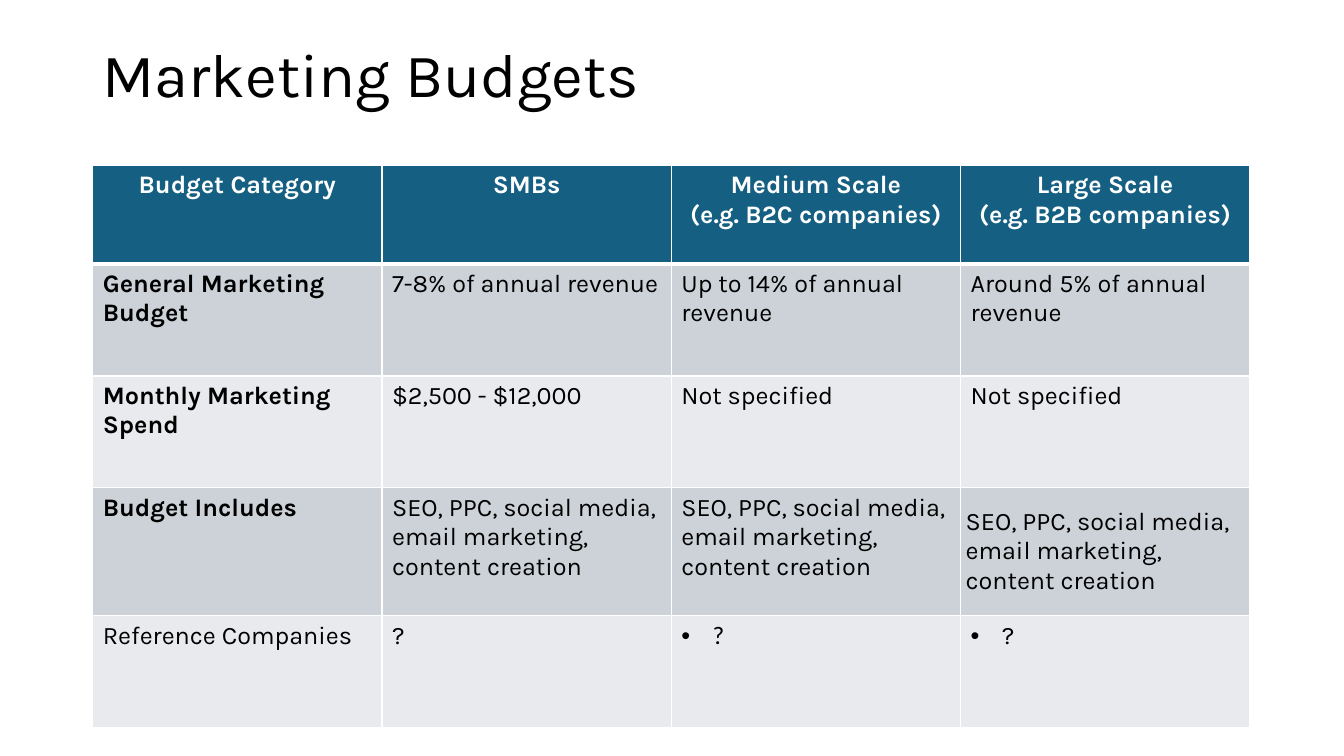
from lxml import etree
from pptx import Presentation
from pptx.dml.color import RGBColor
from pptx.enum.text import MSO_ANCHOR, PP_ALIGN
from pptx.oxml.ns import qn
from pptx.util import Emu, Inches, Pt

CENTER, LEFT = PP_ALIGN.CENTER, PP_ALIGN.LEFT
TOP, MIDDLE = MSO_ANCHOR.TOP, MSO_ANCHOR.MIDDLE

FONT = "Karla"
BLACK, WHITE = "000000", "FFFFFF"
HEADER_FILL = "156082"
BAND_FILLS = ("CCD2D8", "E8EAED")

# Grid, in inches
GRID_LEFT, GRID_TOP = 0.92, 1.64
COLUMN_WIDTHS = [2.87] * 4
ROW_HEIGHTS = [0.98, 1.11, 1.11, 1.27, 1.11]
BULLET_INDENT = 0.31

CHANNELS = "SEO, PPC, social media, email marketing, content creation"
HEADINGS = ["Budget Category", "SMBs", "Medium Scale\n(e.g. B2C companies)",
            "Large Scale\n(e.g. B2B companies)"]
BUDGET_ROWS = [
    ["General Marketing Budget", "7-8% of annual revenue",
     "Up to 14% of annual revenue", "Around 5% of annual revenue"],
    ["Monthly Marketing Spend", "$2,500 - $12,000", "Not specified", "Not specified"],
    ["Budget Includes", CHANNELS, CHANNELS, ""],
    ["Reference Companies", "?", "?", "?"],
]
LAST_ROW = len(BUDGET_ROWS)


def rgb(color):
    return RGBColor.from_string(color)


def write(frame, text, size=18, color=BLACK, bold=False, align=LEFT, font=FONT, bullet=False):
    frame.text = text
    for paragraph in frame.paragraphs:
        if bullet:
            properties = paragraph._p.get_or_add_pPr()
            properties.set("marL", str(Inches(BULLET_INDENT)))
            properties.set("indent", str(-Inches(BULLET_INDENT)))
            etree.SubElement(properties, qn("a:buFont"), typeface="Arial")
            etree.SubElement(properties, qn("a:buChar"), char="•")
        paragraph.alignment = align
        paragraph.font.size = Pt(size)
        for run in paragraph.runs:
            run.font.name = font
            run.font.size = Pt(size)
            run.font.bold = bold
            run.font.color.rgb = rgb(color)


def paint_cell(cell, fill=None, border=None, bottom_width=1):
    """Set fill and borders; None leaves them transparent."""
    properties = cell._tc.get_or_add_tcPr()
    for side in ("lnL", "lnR", "lnT", "lnB"):
        width = bottom_width if side == "lnB" else 1
        line = etree.SubElement(properties, qn(f"a:{side}"), w=str(Pt(width)))
        if border:
            solid = etree.SubElement(line, qn("a:solidFill"))
            etree.SubElement(solid, qn("a:srgbClr"), val=border)
        else:
            etree.SubElement(line, qn("a:noFill"))
    if fill:
        cell.fill.solid()
        cell.fill.fore_color.rgb = rgb(fill)
    else:
        cell.fill.background()


def add_grid(slide, left, top, widths, heights):
    box = [Inches(n) for n in (left, top, sum(widths), sum(heights))]
    grid = slide.shapes.add_table(len(heights), len(widths), *box).table
    grid.first_row = grid.horz_banding = False
    for column, width in zip(grid.columns, widths):
        column.width = Inches(width)
    for row, height in zip(grid.rows, heights):
        row.height = Inches(height)
    return grid


def add_title(slide, text):
    title = slide.shapes.add_textbox(Inches(0.92), Inches(0.04), Inches(11.5), Inches(1.45))
    title.text_frame.word_wrap = True
    title.text_frame.vertical_anchor = MIDDLE
    write(title.text_frame, text, size=44)
    title.text_frame.paragraphs[0].line_spacing = 0.9


def add_budget_table(slide):
    budgets = add_grid(slide, GRID_LEFT, GRID_TOP, COLUMN_WIDTHS, ROW_HEIGHTS)
    budgets.first_row = True
    for col, heading in enumerate(HEADINGS):
        cell = budgets.cell(0, col)
        write(cell.text_frame, heading, color=WHITE, bold=True, align=CENTER)
        paint_cell(cell, HEADER_FILL, WHITE, bottom_width=3)
    for row, entries in enumerate(BUDGET_ROWS, start=1):
        for col, entry in enumerate(entries):
            cell = budgets.cell(row, col)
            cell.vertical_anchor = TOP
            reference = row == LAST_ROW
            write(cell.text_frame, entry,
                  bold=col == 0 and not reference,
                  font="Calibri" if reference and col == 2 else FONT,
                  bullet=reference and col >= 2)
            paint_cell(cell, BAND_FILLS[(row - 1) % 2], WHITE)


def add_large_scale_channels(slide):
    """The large-scale entry sits in its own one-cell table over the grid."""
    cell = add_grid(slide, 9.48, 4.97, [2.95], [1]).cell(0, 0)
    cell.vertical_anchor = MIDDLE
    write(cell.text_frame, "SEO, PPC, social media, email marketing,\ncontent creation")
    paint_cell(cell)


def main():
    deck = Presentation()
    deck.slide_width, deck.slide_height = Emu(12192000), Inches(7.5)
    slide = deck.slides.add_slide(deck.slide_layouts[6])
    add_title(slide, "Marketing Budgets")
    add_budget_table(slide)
    add_large_scale_channels(slide)
    deck.save("out.pptx")


if __name__ == "__main__":
    main()
